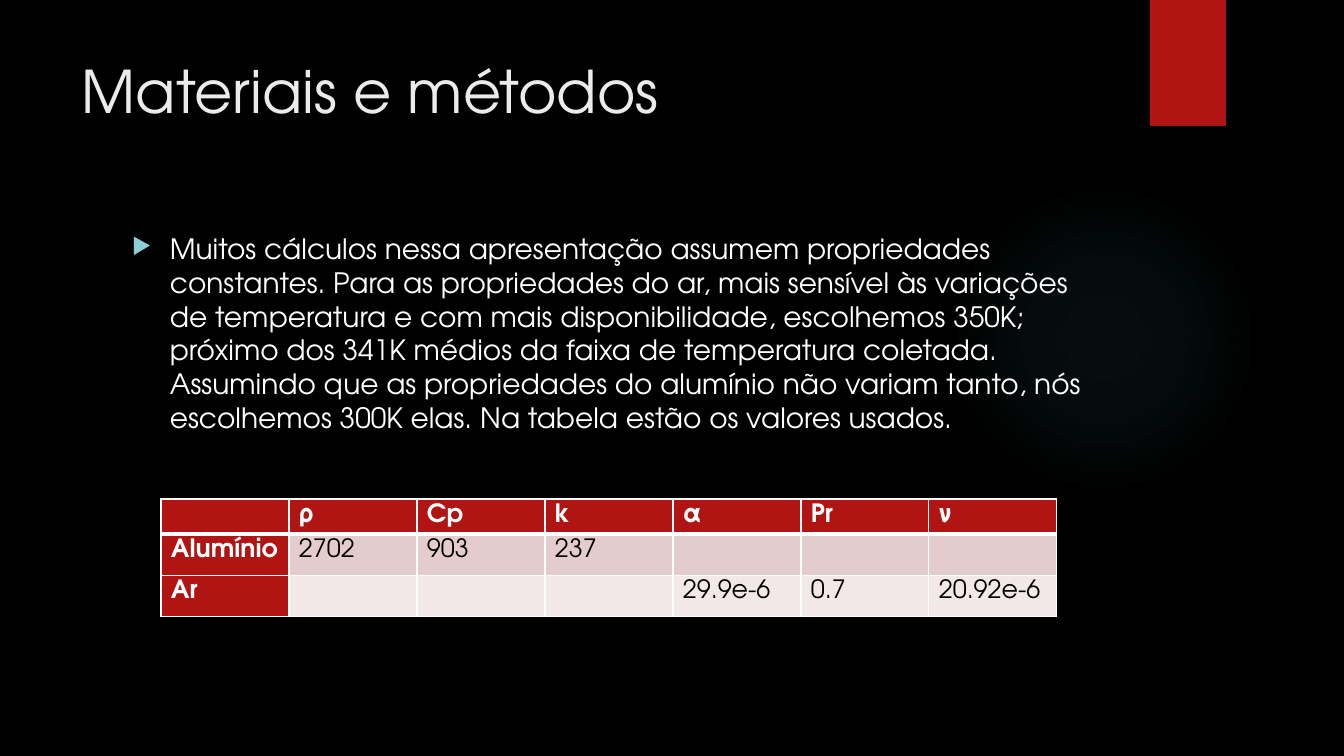
from dataclasses import dataclass

from lxml.etree import SubElement
from pptx import Presentation
from pptx.dml.color import RGBColor
from pptx.enum.shapes import MSO_SHAPE as Preset
from pptx.oxml import parse_xml
from pptx.oxml.ns import nsdecls, qn
from pptx.util import Emu, Pt

PX_PER_INCH = 100.8


@dataclass(frozen=True)
class Theme:
    font: str = "TeX Gyre Adventor"
    background: str = "000000"
    accent: str = "B01513"
    glow: str = "50B9C1"
    bullet: str = "8AD0D6"
    heading: str = "EBEBEB"
    light: str = "FFFFFF"
    dark: str = "000000"
    bands: tuple[str, ...] = ("E4CCCC", "F2E8E7")
    title_size: int = 42
    body_size: int = 20
    table_size: int = 18
    thin: int = 1
    thick: int = 3


@dataclass(frozen=True)
class Box:
    left: int
    top: int
    width: int
    height: int

    def emu(self) -> tuple[Emu, ...]:
        return tuple(map(px, (self.left, self.top, self.width, self.height)))


@dataclass(frozen=True)
class Material:
    name: str
    values: tuple[str, ...]


THEME = Theme()
SYMBOLS = ("ρ", "Cp", "k", "α", "Pr", "ν")
MATERIALS = (
    Material("Alumínio", ("2702", "903", "237", "", "", "")),
    Material("Ar", ("", "", "", "29.9e-6", "0.7", "20.92e-6")),
)
EXPLANATION = (
    "Muitos cálculos nessa apresentação assumem propriedades constantes. "
    "Para as propriedades do ar, mais sensível às variações de temperatura e com "
    "mais disponibilidade, escolhemos 350K; próximo dos 341K médios da faixa de "
    "temperatura coletada. Assumindo que as propriedades do alumínio não variam "
    "tanto, nós escolhemos 300K elas. Na tabela estão os valores usados."
)
COLUMN_WIDTH, HEADER_HEIGHT, ROW_HEIGHT = 128, 33, 41
CELL_SIDE_MARGIN, CELL_TOP_MARGIN = 10, 5


def px(length: int) -> Emu:
    return Emu(round(length * 914400 / PX_PER_INCH))


def rgb(colour: str) -> RGBColor:
    return RGBColor.from_string(colour)


def write(frame, text: str, *, size: int, colour: str, bold: bool = False,
          bullet: str = "", indent: int = 0) -> None:
    """Put one formatted paragraph in a text frame."""
    frame.word_wrap = True
    paragraph = frame.paragraphs[0]
    if bullet:
        properties = paragraph._p.get_or_add_pPr()
        properties.set("marL", str(px(indent)))
        properties.set("indent", str(-px(indent)))
        bullet_colour = SubElement(properties, qn("a:buClr"))
        SubElement(bullet_colour, qn("a:srgbClr"), val=THEME.bullet)
        SubElement(properties, qn("a:buSzPct"), val="80000")
        SubElement(properties, qn("a:buChar"), char=bullet)
    run = paragraph.add_run()
    run.text = text
    run.font.name = THEME.font
    run.font.size = Pt(size)
    run.font.bold = bold
    run.font.color.rgb = rgb(colour)


def add_text(slide, box: Box, text: str, **text_format) -> None:
    write(slide.shapes.add_textbox(*box.emu()).text_frame, text, **text_format)


def add_plain_shape(slide, preset: Preset, box: Box, fill: str):
    shape = slide.shapes.add_shape(preset, *box.emu())
    shape.shadow.inherit = False
    shape.fill.solid()
    shape.fill.fore_color.rgb = rgb(fill)
    shape.line.fill.background()
    return shape


def add_glow(slide, box: Box) -> None:
    """Draw a circle that fades out from its centre."""
    circle = add_plain_shape(slide, Preset.OVAL, box, THEME.glow)
    stops = "".join(
        f'<a:gs pos="{position}000"><a:srgbClr val="{THEME.glow}">'
        f'<a:alpha val="{alpha}000"/></a:srgbClr></a:gs>'
        for position, alpha in ((0, 7), (36, 6), (69, 0), (100, 0))
    )
    gradient = parse_xml(
        f'<a:gradFill {nsdecls("a")} rotWithShape="1"><a:gsLst>{stops}</a:gsLst>'
        '<a:path path="circle"><a:fillToRect l="50000" t="50000" r="50000" '
        'b="50000"/></a:path></a:gradFill>'
    )
    properties = circle._element.spPr
    properties.replace(properties.find(qn("a:solidFill")), gradient)


def style_cell(cell, fill: str, *, top: int, bottom: int) -> None:
    """Give a cell its borders, fill and margins."""
    properties = cell._tc.get_or_add_tcPr()
    widths = {"lnL": THEME.thin, "lnR": THEME.thin, "lnT": top, "lnB": bottom}
    for side, width in widths.items():
        border = SubElement(properties, qn(f"a:{side}"), w=str(Pt(width)))
        border_fill = SubElement(border, qn("a:solidFill"))
        SubElement(border_fill, qn("a:srgbClr"), val=THEME.light)
    cell.fill.solid()
    cell.fill.fore_color.rgb = rgb(fill)
    cell.margin_left = cell.margin_right = px(CELL_SIDE_MARGIN)
    cell.margin_top, cell.margin_bottom = px(CELL_TOP_MARGIN), 0


def add_property_table(slide, left: int, top: int) -> None:
    rows = [("", *SYMBOLS), *((m.name, *m.values) for m in MATERIALS)]
    heights = [HEADER_HEIGHT] + [ROW_HEIGHT] * len(MATERIALS)
    box = Box(left, top, COLUMN_WIDTH * len(rows[0]), sum(heights))
    table = slide.shapes.add_table(len(rows), len(rows[0]), *box.emu()).table
    for column in table.columns:
        column.width = px(COLUMN_WIDTH)
    for r, (texts, height) in enumerate(zip(rows, heights)):
        table.rows[r].height = px(height)
        for c, text in enumerate(texts):
            heading = r == 0 or c == 0
            cell = table.cell(r, c)
            style_cell(
                cell,
                THEME.accent if heading else THEME.bands[(r - 1) % 2],
                top=THEME.thick if r == 1 else THEME.thin,
                bottom=THEME.thick if r == 0 else THEME.thin,
            )
            if text:
                write(cell.text_frame, text, size=THEME.table_size, bold=heading,
                      colour=THEME.light if heading else THEME.dark)


def main() -> None:
    deck = Presentation()
    deck.slide_width, deck.slide_height = px(1344), px(756)
    slide = deck.slides.add_slide(deck.slide_layouts[6])
    slide.background.fill.solid()
    slide.background.fill.fore_color.rgb = rgb(THEME.background)

    add_glow(slide, Box(949, 184, 310, 310))
    add_plain_shape(slide, Preset.RECTANGLE, Box(1150, 0, 76, 126), THEME.accent)
    add_text(slide, Box(72, 50, 1037, 154), "Materiais e métodos",
             size=THEME.title_size, colour=THEME.heading)
    add_text(slide, Box(122, 227, 986, 463), EXPLANATION, size=THEME.body_size,
             colour=THEME.light, bullet="▶", indent=38)
    add_property_table(slide, 161, 499)
    deck.save("out.pptx")


if __name__ == "__main__":
    main()
